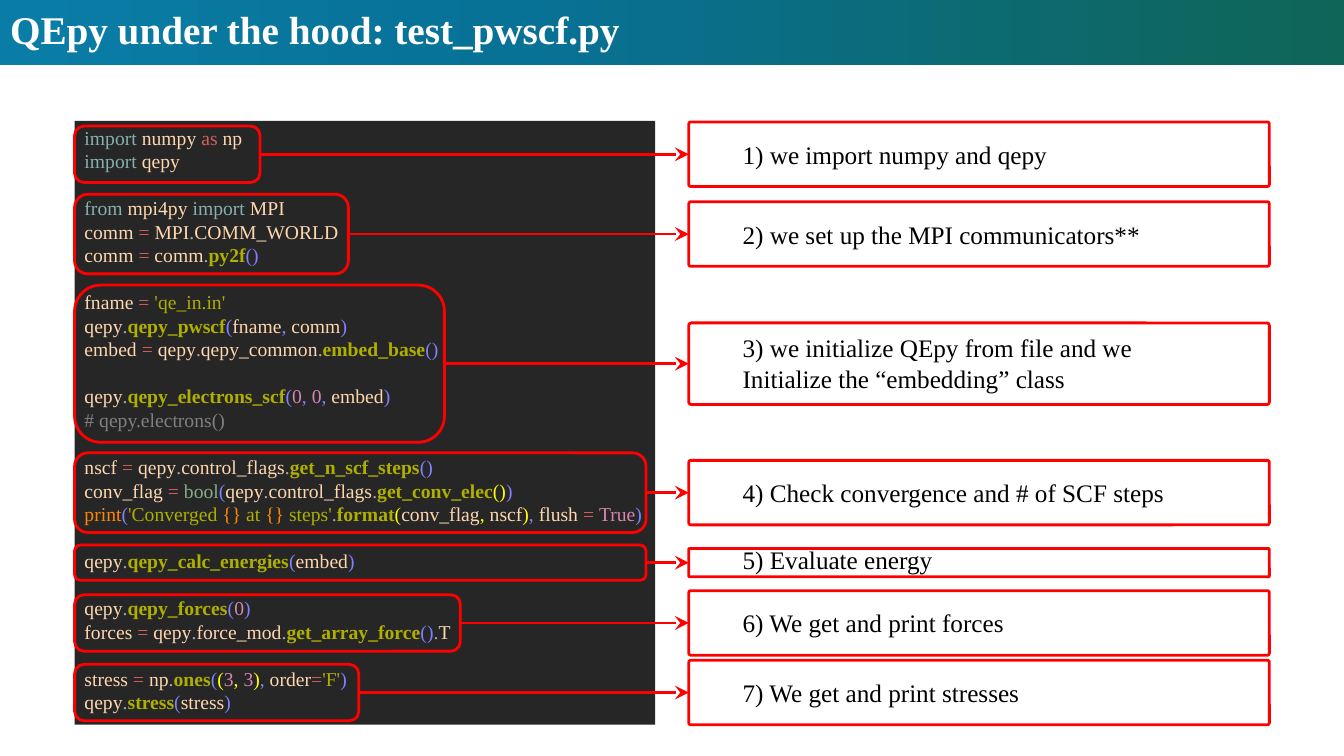
from copy import deepcopy

from pptx import Presentation
from pptx.dml.color import RGBColor
from pptx.enum.shapes import MSO_CONNECTOR, MSO_SHAPE
from pptx.enum.text import MSO_ANCHOR, PP_ALIGN
from pptx.oxml.ns import qn
from pptx.util import Pt
from lxml.etree import SubElement

FONT = "Times New Roman"
RED = "FF0000"
CODE_LEFT, NOTE_LEFT, COLUMN_WIDTH = 53.3, 492, 414.7
NOTE_TEXT_LEFT, NOTE_TEXT_WIDTH = 523.4, 330
CODE_LINE, NOTE_LINE = 16.8, 22

TOKEN_COLORS = {
    "k": "87AFAF", "n": "FFD7AF", "o": "D75F5F", "d": "A8A8A8",
    "f": "AFAF00", "s": "AFAF00", "p": "8080FF", "y": "FFFF00",
    "m": "D787AF", "c": "808080", "b": "87AF87", "x": "FF8700",
}

CODE_BLOCKS = [
    ["k:import |n:numpy |o:as|n: np",
     "k:import |n:qepy"],
    ["k:from |n:mpi4py |k:import |n:MPI",
     "n:comm |o:= |n:MPI|d:.|n:COMM_WORLD",
     "n:comm |o:=|n: comm|d:.|f:py2f|p:()"],
    ["n:fname |o:= |s:'qe_in.in'",
     "n:qepy|d:.|f:qepy_pwscf|p:(|n:fname|p:,|n: comm|p:)",
     "n:embed |o:= |n:qepy|d:.|n:qepy_common|d:.|f:embed_base|p:()"],
    ["n:qepy|d:.|f:qepy_electrons_scf|p:(|m:0|p:, |m:0|p:,|n: embed|p:)",
     "c:# qepy.electrons()"],
    ["n:nscf |o:= |n:qepy|d:.|n:control_flags|d:.|f:get_n_scf_steps|p:()",
     "n:conv_flag |o:= |b:bool|p:(|n:qepy|d:.|n:control_flags|d:."
     "|f:get_conv_elec|y:()|p:)",
     "x:print|p:(|s:'Converged |x:{}|s: at |x:{} |s:steps'|d:.|f:format|y:("
     "|n:conv_flag|y:, |n:nscf|y:)|p:,|n: flush |o:= |m:True|p:)"],
    ["n:qepy|d:.|f:qepy_calc_energies|p:(|n:embed|p:)"],
    ["n:qepy|d:.|f:qepy_forces|p:(|m:0|p:)",
     "n:forces |o:= |n:qepy|d:.|n:force_mod|d:.|f:get_array_force|p:()|d:.|n:T"],
    ["n:stress |o:= |n:np|d:.|f:ones|p:(|y:(|m:3|y:, |m:3|y:)|p:,|n: order|o:="
     "|s:'F'|p:)",
     "n:qepy|d:.|f:stress|p:(|n:stress|p:)"],
]

STEPS = [
    (110.2, 132.5, 40.3, 46.1, 0, ["1) we import numpy and qepy"]),
    (167.2, 195.6, 56.9, 46.1, 0, ["2) we set up the MPI communicators**"]),
    (259.8, 264.2, 112.3, 58.3, 0.7, ["3) we initialize QEpy from file and we",
                                      "Initialize the “embedding” class"]),
    (351.9, 408.2, 56.9, 46.1, 0, ["4) Check convergence and # of SCF steps"]),
    (401.9, 408.2, 25.2, 20.2, 2.5, ["5) Evaluate energy"]),
    (445, 275.5, 40.3, 46.1, 0.5, ["6) We get and print forces"]),
    (494.7, 203, 40.3, 46.1, 0, ["7) We get and print stresses"]),
]


def color(hex_string):
    return RGBColor.from_string(hex_string)


def style(paragraph, size, hex_string):
    paragraph.alignment = PP_ALIGN.LEFT
    paragraph.font.name = FONT
    paragraph.font.size = Pt(size)
    paragraph.font.color.rgb = color(hex_string)


def next_paragraph(frame, index):
    return frame.add_paragraph() if index else frame.paragraphs[0]


def set_title(slide, text):
    title = slide.shapes.title
    title.left, title.top, title.width, title.height = Pt(0), Pt(0), Pt(960), Pt(46.3)
    title.fill.gradient()
    title.fill.gradient_angle = 0
    stops = title._element.spPr.find(".//" + qn("a:gsLst"))
    stops.insert(1, deepcopy(stops[0]))
    for stop, position, hex_string in zip(
            title.fill.gradient_stops, (0, 0.39, 1), ("0A7DA6", "087196", "0F6557")):
        stop.position = position
        stop.color.rgb = color(hex_string)
    frame = title.text_frame
    frame.text = text
    frame.vertical_anchor = MSO_ANCHOR.MIDDLE
    frame.margin_top, frame.margin_bottom = 0, Pt(5.8)
    style(frame.paragraphs[0], 28, "FFFFFF")
    frame.paragraphs[0].font.bold = True


def add_code_panel(slide):
    panel = slide.shapes.add_shape(
        MSO_SHAPE.RECTANGLE, Pt(CODE_LEFT), Pt(86.4), Pt(COLUMN_WIDTH), Pt(431.3))
    panel.shadow.inherit = False
    panel.fill.solid()
    panel.fill.fore_color.rgb = color("262626")
    panel.line.fill.background()
    frame = panel.text_frame
    frame.word_wrap = True
    frame.margin_right = 0
    frame.margin_top = Pt(3.2)
    frame.vertical_anchor = MSO_ANCHOR.TOP
    lines = [(line, block > 0 and row == 0)
             for block, rows in enumerate(CODE_BLOCKS) for row, line in enumerate(rows)]
    for index, (line, starts_block) in enumerate(lines):
        paragraph = next_paragraph(frame, index)
        style(paragraph, 14, TOKEN_COLORS["n"])
        paragraph.line_spacing = Pt(CODE_LINE)
        paragraph.space_before = Pt(CODE_LINE if starts_block else 0)
        for token in line.split("|"):
            kind, text = token.split(":", 1)
            run = paragraph.add_run()
            run.text = text
            run.font.color.rgb = color(TOKEN_COLORS[kind])
            if kind == "f":
                run.font.bold = True


def add_outline(slide, left, middle, width, height):
    outline = slide.shapes.add_shape(
        MSO_SHAPE.ROUNDED_RECTANGLE,
        Pt(left), Pt(middle - height / 2), Pt(width), Pt(height))
    outline.shadow.inherit = False
    outline.fill.background()
    outline.line.color.rgb = color(RED)
    outline.line.width = Pt(2)
    return outline


def add_note_text(slide, middle, lines):
    height = NOTE_LINE * len(lines) + 7.2
    note_text = slide.shapes.add_textbox(
        Pt(NOTE_TEXT_LEFT), Pt(middle - height / 2), Pt(NOTE_TEXT_WIDTH), Pt(height))
    frame = note_text.text_frame
    frame.word_wrap = True
    frame.vertical_anchor = MSO_ANCHOR.MIDDLE
    for index, line in enumerate(lines):
        paragraph = next_paragraph(frame, index)
        paragraph.text = line
        style(paragraph, 18, "000000")
        paragraph.line_spacing = Pt(NOTE_LINE)


def add_arrow(slide, source, target):
    arrow = slide.shapes.add_connector(MSO_CONNECTOR.STRAIGHT, 0, 0, 0, 0)
    arrow.begin_connect(source, 3)
    arrow.end_connect(target, 1)
    arrow.line.color.rgb = color(RED)
    arrow.line.width = Pt(2)
    SubElement(arrow.line._get_or_add_ln(), qn("a:tailEnd"),
               type="stealth", w="lg", len="lg")
    SubElement(arrow._element.spPr, qn("a:effectLst"))


def main():
    deck = Presentation()
    deck.slide_width, deck.slide_height = Pt(960), Pt(540)
    slide = deck.slides.add_slide(deck.slide_layouts[5])
    set_title(slide, "QEpy under the hood: test_pwscf.py")
    add_code_panel(slide)
    for middle, code_width, code_height, note_height, text_rise, lines in STEPS:
        code = add_outline(slide, CODE_LEFT, middle, code_width, code_height)
        note = add_outline(slide, NOTE_LEFT, middle, COLUMN_WIDTH, note_height)
        note.adjustments[0] = 0.031
        add_arrow(slide, code, note)
        add_note_text(slide, middle - text_rise, lines)
    deck.save("out.pptx")


if __name__ == "__main__":
    main()
